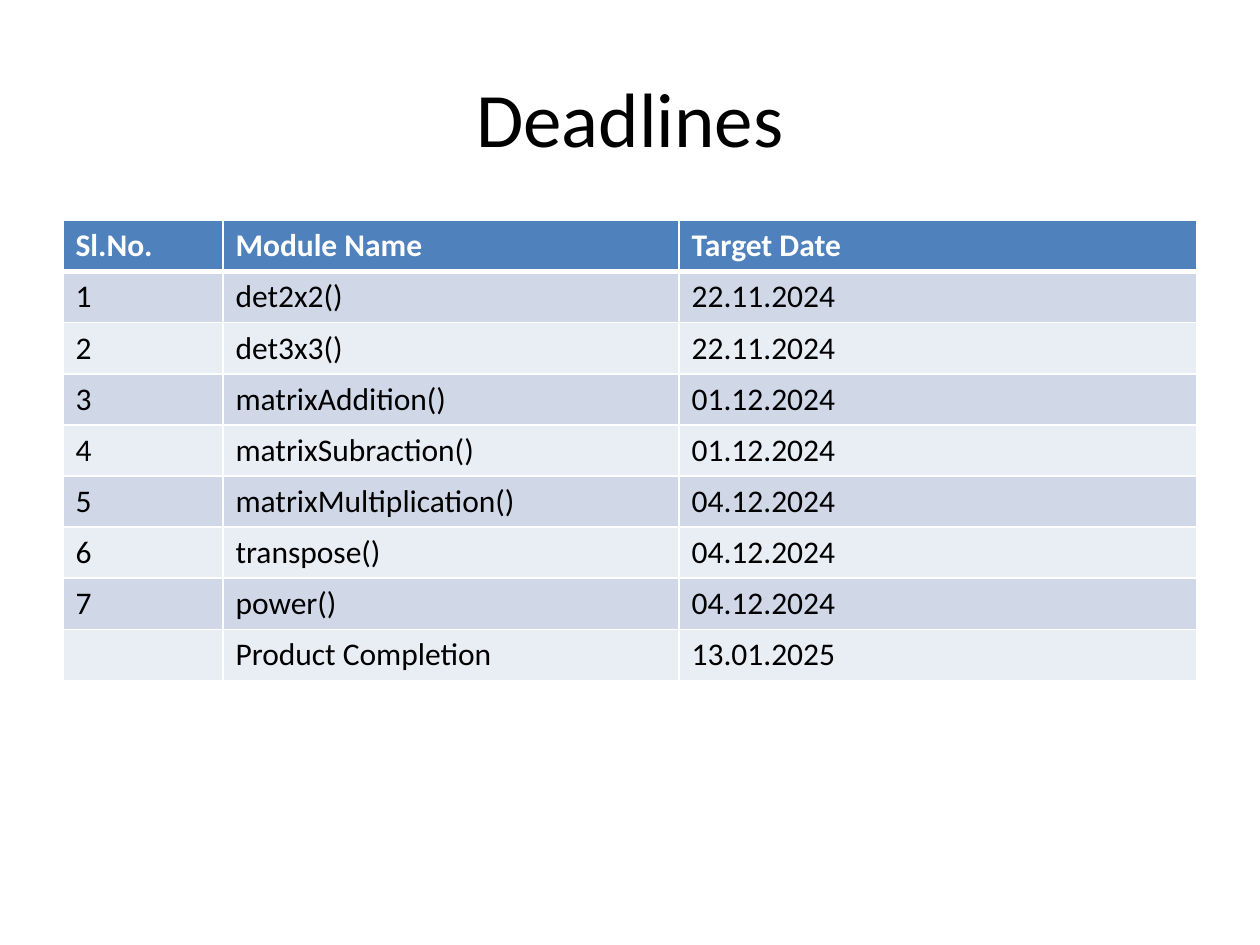
from lxml.etree import SubElement
from pptx import Presentation
from pptx.dml.color import RGBColor
from pptx.enum.text import MSO_ANCHOR, PP_ALIGN
from pptx.oxml.ns import qn
from pptx.util import Inches, Pt

WHITE = RGBColor(0xFF, 0xFF, 0xFF)
BLACK = RGBColor(0x00, 0x00, 0x00)
HEADER_BLUE = RGBColor(0x4F, 0x81, 0xBD)
BANDS = (RGBColor(0xE9, 0xED, 0xF4), RGBColor(0xD0, 0xD8, 0xE8))
FONT = "Calibri"

COLUMN_WIDTHS = (1.27, 3.62, 4.11)
HEADER = ("Sl.No.", "Module Name", "Target Date")
DEADLINES = (
    ("1", "det2x2()", "22.11.2024"),
    ("2", "det3x3()", "22.11.2024"),
    ("3", "matrixAddition()", "01.12.2024"),
    ("4", "matrixSubraction()", "01.12.2024"),
    ("5", "matrixMultiplication()", "04.12.2024"),
    ("6", "transpose()", "04.12.2024"),
    ("7", "power()", "04.12.2024"),
    ("", "Product Completion", "13.01.2025"),
)


def write_text(text_frame, text, size=18, color=BLACK, bold=False,
               align=PP_ALIGN.LEFT):
    paragraph = text_frame.paragraphs[0]
    paragraph.alignment = align
    paragraph.font.size = Pt(size)
    if text:
        run = paragraph.add_run()
        run.text = text
        run.font.name = FONT
        run.font.size = Pt(size)
        run.font.bold = bold
        run.font.color.rgb = color


def set_borders(cell, **widths):
    """Draw white cell borders; widths in points, keyed L, R, T and B."""
    properties = cell._tc.get_or_add_tcPr()
    for side, width in widths.items():
        line = SubElement(properties, qn(f"a:ln{side}"), w=str(Pt(width)))
        fill = SubElement(line, qn("a:solidFill"))
        SubElement(fill, qn("a:srgbClr"), val=str(WHITE))


def add_title(slide, text, left, top, width, height):
    box = slide.shapes.add_textbox(left, top, width, height)
    box.text_frame.word_wrap = True
    box.text_frame.vertical_anchor = MSO_ANCHOR.MIDDLE
    write_text(box.text_frame, text, size=44, align=PP_ALIGN.CENTER)


def add_deadline_table(slide, rows, left, top, width, height):
    frame = slide.shapes.add_table(len(rows), len(COLUMN_WIDTHS),
                                   left, top, width, height)
    table = frame.table
    for column, share in zip(table.columns, COLUMN_WIDTHS):
        column.width = int(width * share / sum(COLUMN_WIDTHS))

    for row_index, values in enumerate(rows):
        is_header = row_index == 0
        for column_index, value in enumerate(values):
            cell = table.cell(row_index, column_index)
            # Borders come before the fill in the cell properties
            set_borders(cell, L=1, R=1, T=3 if row_index == 1 else 1,
                        B=3 if is_header else 1)
            cell.fill.solid()
            cell.fill.fore_color.rgb = (
                HEADER_BLUE if is_header else BANDS[row_index % 2])
            write_text(cell.text_frame, value, bold=is_header,
                       color=WHITE if is_header else BLACK)


def main():
    presentation = Presentation()
    presentation.slide_width = Inches(10)
    presentation.slide_height = Inches(7.5)
    slide = presentation.slides.add_slide(presentation.slide_layouts[6])

    # Title and table share the same side margins
    margin = Inches(0.5)
    content_width = presentation.slide_width - 2 * margin
    add_title(slide, "Deadlines", margin, Inches(0.3),
              content_width, Inches(1.25))
    add_deadline_table(slide, (HEADER, *DEADLINES), margin, Inches(1.75),
                       content_width, Inches(3.65))

    presentation.save("out.pptx")


if __name__ == "__main__":
    main()
